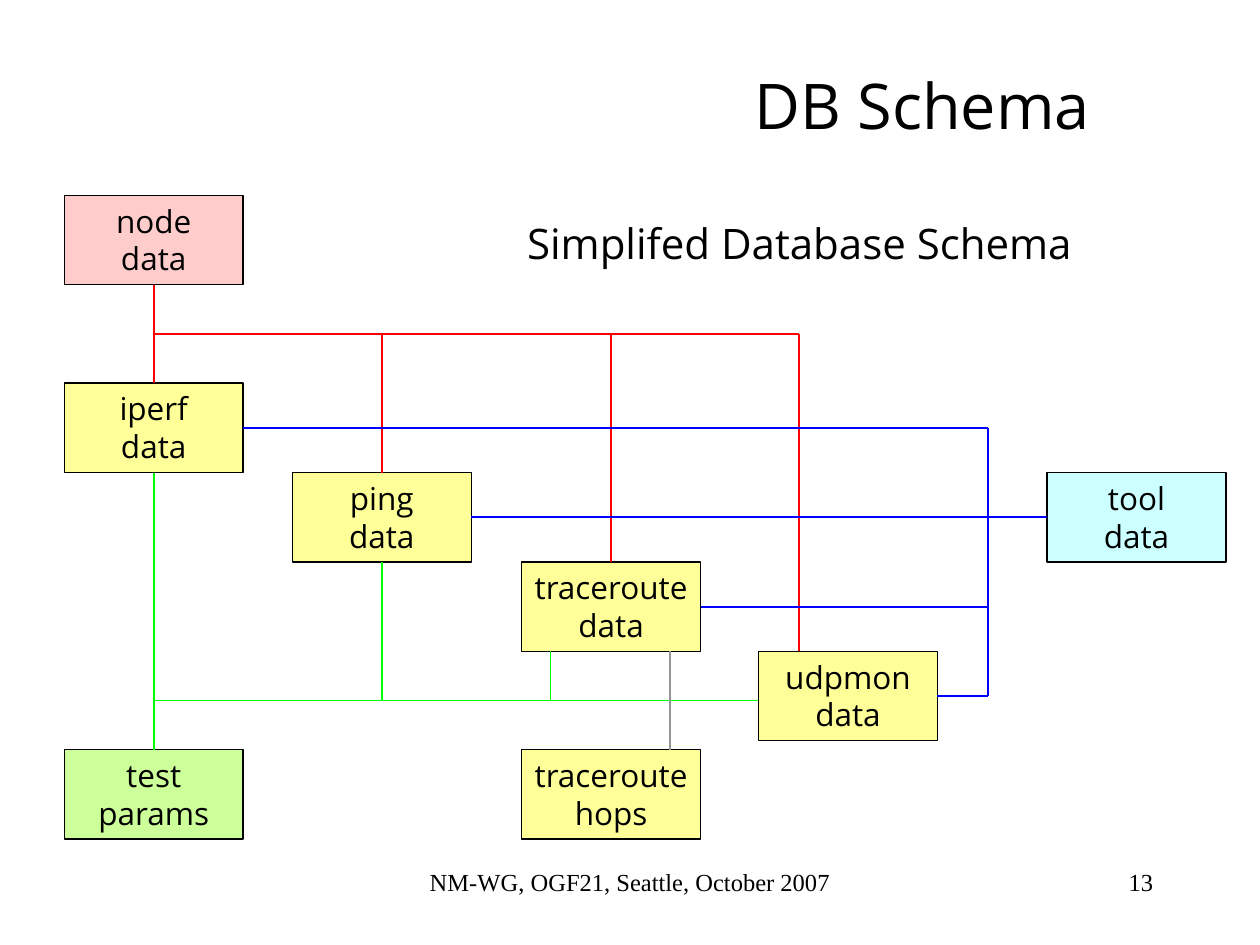
from lxml import etree
from pptx import Presentation
from pptx.dml.color import RGBColor
from pptx.enum.shapes import MSO_CONNECTOR, MSO_SHAPE
from pptx.enum.text import MSO_ANCHOR as Anchor, PP_ALIGN as Align
from pptx.oxml.ns import qn
from pptx.util import Inches, Pt

SANS, SERIF = "Open Sans", "Times New Roman"
BOX_W, BOX_H = 1.42, 0.71
COL = [0.51, 2.32, 4.14, 6.02, 8.31]
ROW = [1.55, 3.04, 3.75, 4.46, 5.17, 5.95]
RED, GREEN, BLUE, GREY = "FF0000", "00FF00", "0000FF", "969696"
RED_Y, GREEN_Y, BLUE_X = 2.65, 5.56, 7.84
TOP, LEFT, BOTTOM, RIGHT = range(4)
TABLES = {
    "node": ("node\ndata", 0, 0, "FFCCCC"),
    "iperf": ("iperf\ndata", 0, 1, "FFFF99"),
    "ping": ("ping\ndata", 1, 2, "FFFF99"),
    "traceroute": ("traceroute\ndata", 2, 3, "FFFF99"),
    "udpmon": ("udpmon\ndata", 3, 4, "FFFF99"),
    "hops": ("traceroute\nhops", 2, 5, "FFFF99"),
    "params": ("test\nparams", 0, 5, "CCFF99"),
    "tool": ("tool\ndata", 4, 2, "CCFFFF"),
}


def color(value):
    return RGBColor.from_string(value)


def write(sp, text, size, font, align=Align.CENTER, anchor=Anchor.TOP):
    tf = sp.text_frame
    tf.word_wrap = True
    tf.vertical_anchor = anchor
    tf.text = text
    for p in tf.paragraphs:
        p.alignment = align
        for r in p.runs:
            r.font.size = Pt(size)
            r.font.name = font
            r.font.color.rgb = color("000000")


def add_text(s, text, at, size, font, **layout):
    sp = s.shapes.add_textbox(*map(Inches, at))
    write(sp, text, size, font, **layout)


def add_box(s, text, col, row, fill):
    at = COL[col], ROW[row], BOX_W, BOX_H
    sp = s.shapes.add_shape(MSO_SHAPE.RECTANGLE, *map(Inches, at))
    sp.shadow.inherit = False
    sp.fill.solid()
    sp.fill.fore_color.rgb = color(fill)
    sp.line.color.rgb = color("000000")
    sp.line.width = Pt(0.75)
    write(sp, text, 18, SANS)
    return sp


def add_line(s, start, end, stroke):
    line = s.shapes.add_connector(
        MSO_CONNECTOR.STRAIGHT, *map(Inches, start + end))
    line.line.color.rgb = color(stroke)
    line.line.width = Pt(1)
    etree.SubElement(line._element.spPr, qn("a:effectLst"))
    return line


def add_joined(s, box, site, end, stroke):
    line = add_line(s, end, end, stroke)
    line.begin_connect(box, site)
    return line


def add_link(s, box, site, other, other_site, stroke):
    line = add_joined(s, box, site, (0, 0), stroke)
    line.end_connect(other, other_site)


def add_relations(s, box):
    mid = [x + BOX_W / 2 for x in COL]
    udpmon_x, stub_x, hops_x = 6.34, 4.37, 5.32

    add_link(s, box["node"], BOTTOM, box["iperf"], TOP, RED)
    add_line(s, (mid[0], RED_Y), (udpmon_x, RED_Y), RED)
    add_line(s, (udpmon_x, RED_Y), (udpmon_x, ROW[4]), RED)
    for name, col in (("ping", 1), ("traceroute", 2)):
        add_joined(s, box[name], TOP, (mid[col], RED_Y), RED)

    add_link(s, box["iperf"], BOTTOM, box["params"], TOP, GREEN)
    add_line(s, (mid[0], GREEN_Y), (COL[3], GREEN_Y), GREEN)
    add_joined(s, box["ping"], BOTTOM, (mid[1], GREEN_Y), GREEN)
    add_line(s, (stub_x, ROW[4]), (stub_x, GREEN_Y), GREEN)

    add_link(s, box["ping"], RIGHT, box["tool"], LEFT, BLUE)
    for name, row in (("iperf", 1), ("traceroute", 3), ("udpmon", 4)):
        y = ROW[row] + BOX_H / 2
        add_joined(s, box[name], RIGHT, (BLUE_X, y), BLUE)
    add_line(s, (BLUE_X, ROW[1] + BOX_H / 2),
             (BLUE_X, ROW[4] + BOX_H / 2), BLUE)

    add_line(s, (hops_x, ROW[4]), (hops_x, ROW[5]), GREY)


def main():
    prs = Presentation()
    prs.slide_width, prs.slide_height = Inches(10), Inches(7.5)
    s = prs.slides.add_slide(prs.slide_layouts[6])
    add_text(s, "DB Schema", (4.76, 0.2, 5.12, 1.25), 36, SANS,
             anchor=Anchor.MIDDLE)
    box = {name: add_box(s, *table) for name, table in TABLES.items()}
    add_relations(s, box)
    add_text(s, "Simplifed Database Schema", (4.06, 1.68, 4.57, 0.5), 24, SANS)
    add_text(s, "NM-WG, OGF21, Seattle, October 2007",
             (3.03, 6.83, 3.94, 0.5), 14, SERIF)
    add_text(s, "13", (7.17, 6.83, 2.08, 0.5), 14, SERIF, align=Align.RIGHT)
    prs.save("out.pptx")


if __name__ == "__main__":
    main()
